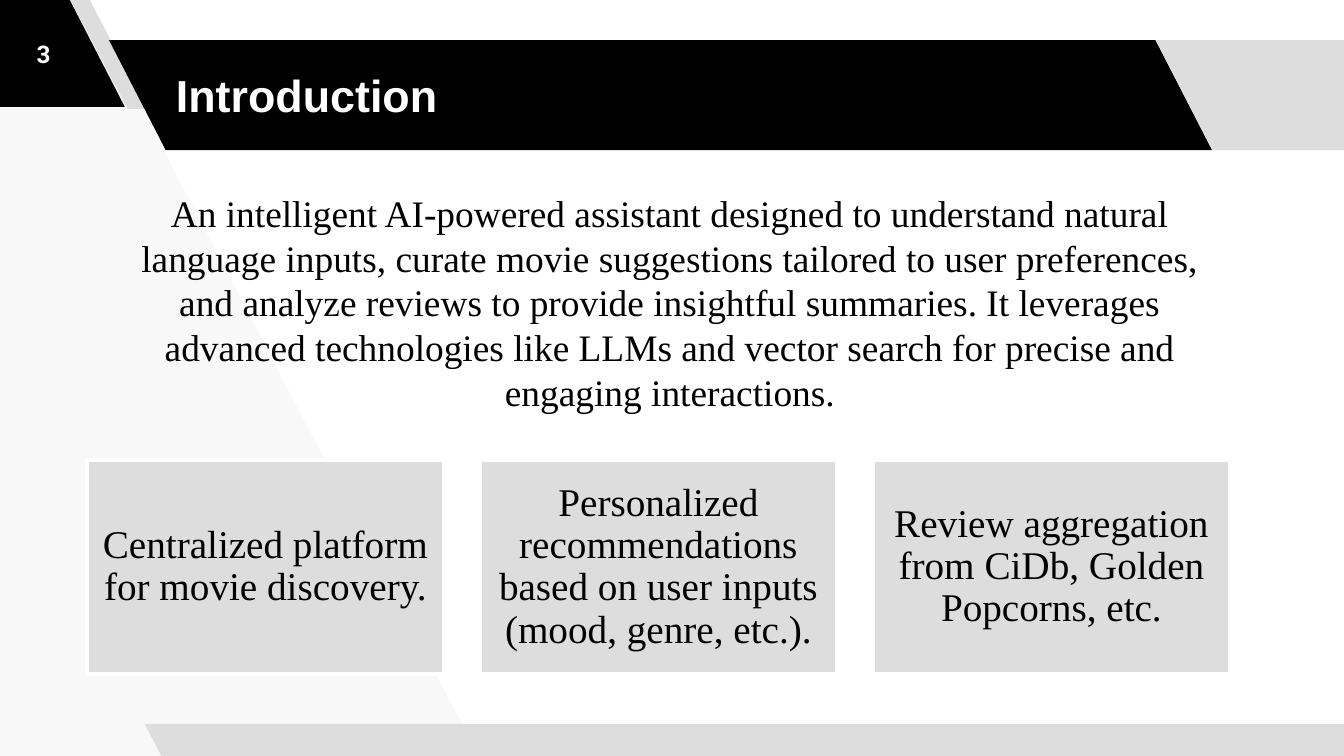
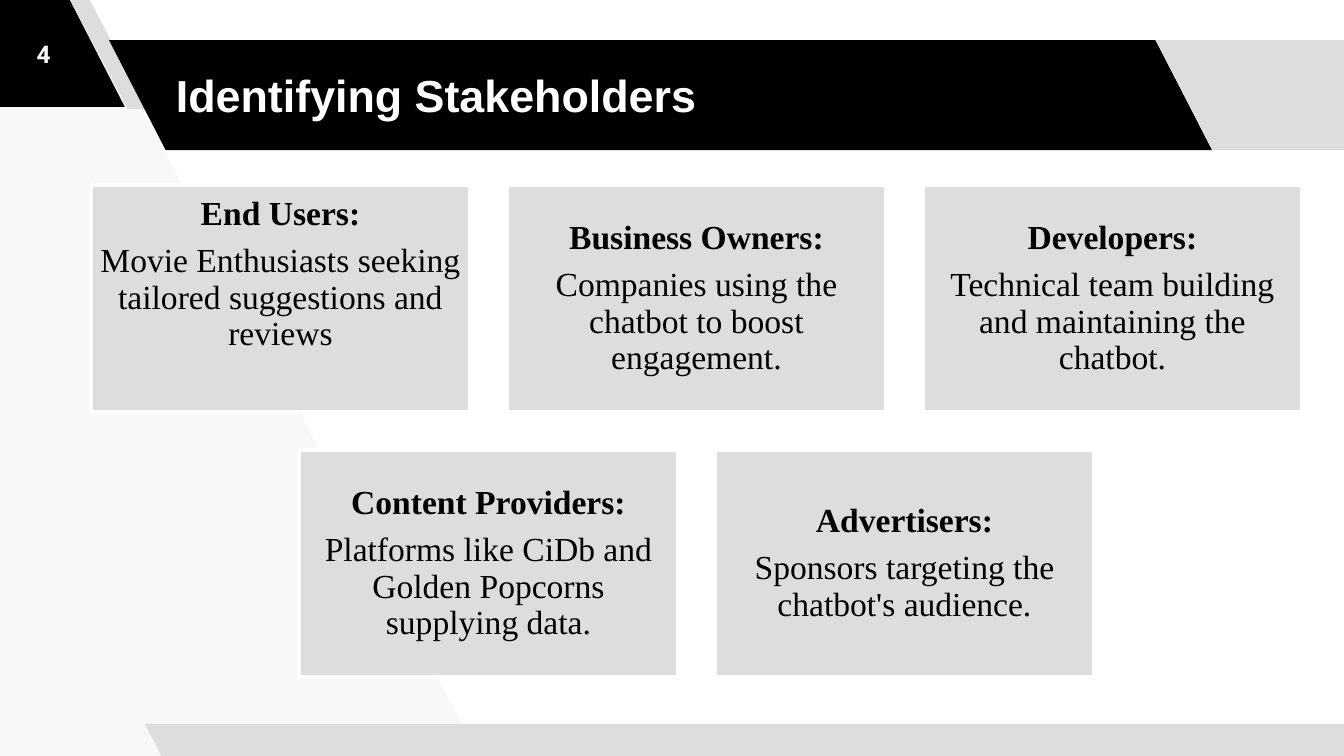
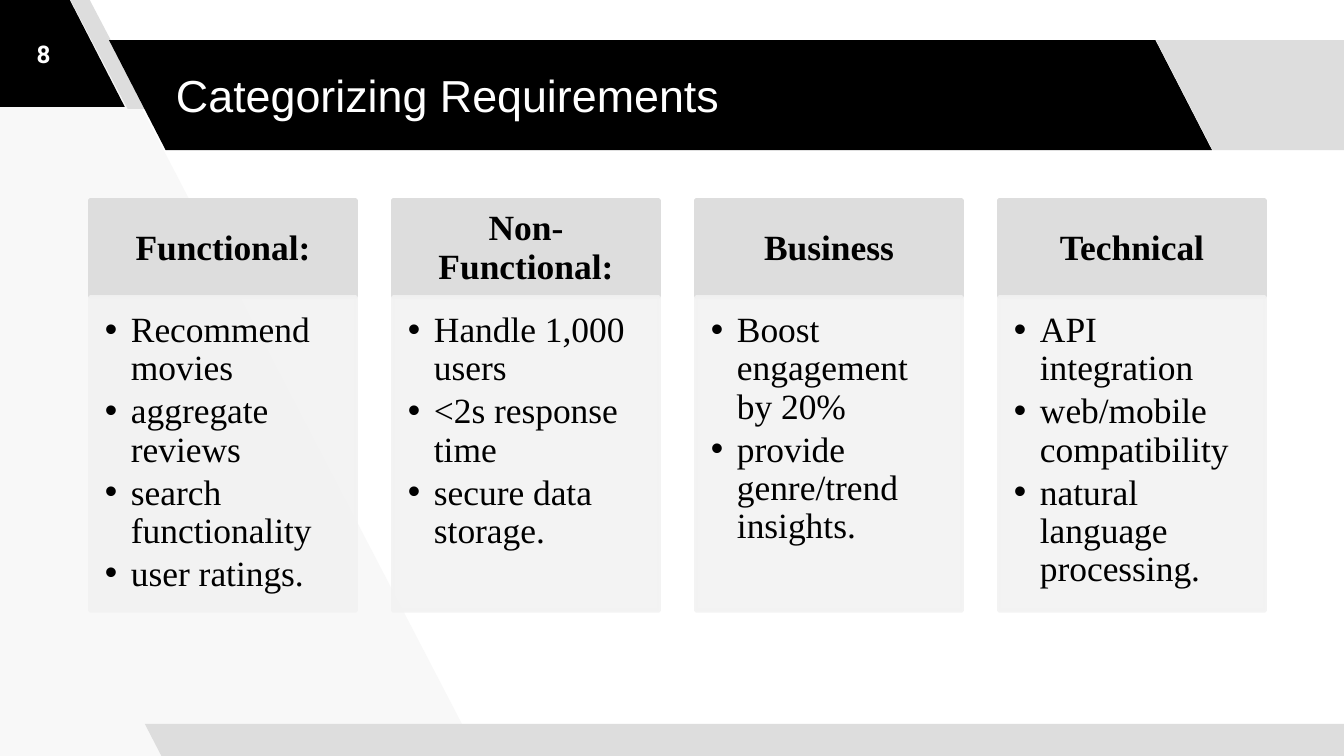
from dataclasses import dataclass, replace
from typing import Any

import lxml.etree
import pptx
import pptx.dml.color
import pptx.enum.shapes
import pptx.enum.text
import pptx.oxml.ns
import pptx.presentation
import pptx.shapes.autoshape
import pptx.slide
import pptx.text.text
import pptx.util

SLIDE_WIDTH, SLIDE_HEIGHT = 1344, 756
EMU_PER_PX = pptx.util.Inches(10) / SLIDE_WIDTH

BLACK = pptx.dml.color.RGBColor(0x00, 0x00, 0x00)
WHITE = pptx.dml.color.RGBColor(0xFF, 0xFF, 0xFF)
SILVER = pptx.dml.color.RGBColor(0xDD, 0xDD, 0xDD)
MIST = pptx.dml.color.RGBColor(0xF2, 0xF2, 0xF2)
WEDGE = pptx.dml.color.RGBColor(0xF8, 0xF8, 0xF8)

PARALLELOGRAM = pptx.enum.shapes.MSO_SHAPE.PARALLELOGRAM
RECTANGLE = pptx.enum.shapes.MSO_SHAPE.RECTANGLE
CENTER = pptx.enum.text.PP_ALIGN.CENTER
LEFT = pptx.enum.text.PP_ALIGN.LEFT
MIDDLE = pptx.enum.text.MSO_ANCHOR.MIDDLE
TOP = pptx.enum.text.MSO_ANCHOR.TOP


@dataclass(frozen=True)
class Box:
    left: int
    top: int
    width: int
    height: int


@dataclass(frozen=True)
class Band:
    box: Box
    slant: float
    color: pptx.dml.color.RGBColor


@dataclass(frozen=True)
class TextStyle:
    font: str
    size: int
    color: pptx.dml.color.RGBColor = BLACK
    bold: bool = False
    align: Any = CENTER
    anchor: Any = MIDDLE
    insets: tuple[int, int, int, int] = (13, 13, 13, 13)
    line_spacing: float = 1.0
    space_after: float = 0
    bullet_indent: int = 0


@dataclass(frozen=True)
class Stakeholder:
    role: str
    interest: str
    extra_bottom: int = 0


@dataclass(frozen=True)
class Category:
    heading: str
    requirements: tuple[str, ...]


WEDGE_CORNERS = [(478, 755), (83, -5), (-8, -5), (-3, 761)]
BANDS = [
    Band(Box(-133, -3, 258, 110), 0.515, BLACK),
    Band(Box(70, -1, 77, 110), 0.75, SILVER),
    Band(Box(109, 40, 1103, 110), 0.515, BLACK),
    Band(Box(1156, 40, 258, 110), 0.515, SILVER),
    Band(Box(145, 724, 1230, 34), 0.515, SILVER),
]
TITLE_BOX = Box(163, 40, 988, 110)
NUMBER_BOX = Box(0, 0, 87, 108)
SUMMARY_BOX = Box(110, 183, 1120, 239)

TITLE = TextStyle("Arial", 24, WHITE, bold=True, align=LEFT)
NUMBER = TextStyle("Roboto", 13, WHITE, bold=True)
SUMMARY = TextStyle("Times New Roman", 20, anchor=TOP, insets=(13, 7, 13, 7))
FEATURE = TextStyle("Times New Roman", 21, insets=(12, 12, 12, 12),
                    line_spacing=0.9, space_after=7)
INTEREST = TextStyle("Times New Roman", 18, insets=(9, 9, 9, 9),
                     line_spacing=0.9, space_after=6)
ROLE = replace(INTEREST, bold=True)
HEADING = TextStyle("Times New Roman", 19, bold=True, insets=(20, 11, 20, 11),
                    line_spacing=0.9, space_after=6.5)
REQUIREMENT = TextStyle("Times New Roman", 19, align=LEFT, anchor=TOP,
                        insets=(15, 15, 20, 23), line_spacing=0.9,
                        space_after=2.5, bullet_indent=26)

SUMMARY_TEXT = (
    "An intelligent AI-powered assistant designed to understand natural language "
    "inputs, curate movie suggestions tailored to user preferences, and analyze "
    "reviews to provide insightful summaries. It leverages advanced technologies "
    "like LLMs and vector search for precise and engaging interactions."
)
FEATURES = [
    "Centralized platform for movie discovery.",
    "Personalized recommendations based on user inputs (mood, genre, etc.).",
    "Review aggregation from CiDb, Golden Popcorns, etc.",
]
STAKEHOLDER_ROWS = [
    [
        Stakeholder("End Users:",
                    "Movie Enthusiasts seeking tailored suggestions and reviews",
                    extra_bottom=48),
        Stakeholder("Business Owners:",
                    "Companies using the chatbot to boost engagement."),
        Stakeholder("Developers:",
                    "Technical team building and maintaining the chatbot."),
    ],
    [
        Stakeholder("Content Providers:",
                    "Platforms like CiDb and Golden Popcorns supplying data."),
        Stakeholder("Advertisers:", "Sponsors targeting the chatbot's audience."),
    ],
]
CATEGORIES = [
    Category("Functional:", ("Recommend movies", "aggregate reviews",
                             "search functionality", "user ratings.")),
    Category("Non-Functional:", ("Handle 1,000 users", "<2s response time",
                                 "secure data storage.")),
    Category("Business", ("Boost engagement by 20%",
                          "provide genre/trend insights.")),
    Category("Technical", ("API integration", "web/mobile compatibility",
                           "natural language processing.")),
]


def px(length: int) -> pptx.util.Emu:
    return pptx.util.Emu(round(length * EMU_PER_PX))


def place(box: Box) -> tuple[pptx.util.Emu, ...]:
    """Left, top, width and height in EMU."""
    return px(box.left), px(box.top), px(box.width), px(box.height)


def set_attributes(target: Any, values: dict[str, Any]) -> None:
    for attribute, value in values.items():
        setattr(target, attribute, value)


def add_bullet(paragraph: pptx.text.text._Paragraph, indent: int,
               color: pptx.dml.color.RGBColor) -> None:
    qn = pptx.oxml.ns.qn
    properties = paragraph._p.get_or_add_pPr()
    properties.set("marL", str(px(indent)))
    properties.set("indent", str(-px(indent)))
    bullet_color = lxml.etree.SubElement(properties, qn("a:buClr"))
    lxml.etree.SubElement(bullet_color, qn("a:srgbClr"), val=str(color))
    lxml.etree.SubElement(properties, qn("a:buFont"), typeface="Arial")
    lxml.etree.SubElement(properties, qn("a:buChar"), char="•")


def write(frame: pptx.text.text.TextFrame,
          lines: list[tuple[str, TextStyle]], extra_bottom: int = 0) -> None:
    """Fill a frame with one paragraph per line; the first style rules the frame."""
    frame_style = lines[0][1]
    left, top, right, bottom = frame_style.insets
    set_attributes(frame, {
        "word_wrap": True,
        "vertical_anchor": frame_style.anchor,
        "margin_left": px(left),
        "margin_top": px(top),
        "margin_right": px(right),
        "margin_bottom": px(bottom + extra_bottom),
    })
    for index, (text, style) in enumerate(lines):
        paragraph = frame.add_paragraph() if index else frame.paragraphs[0]
        if style.bullet_indent:
            add_bullet(paragraph, style.bullet_indent, style.color)
        set_attributes(paragraph, {
            "alignment": style.align,
            "line_spacing": style.line_spacing,
            "space_after": pptx.util.Pt(style.space_after),
        })
        run = paragraph.add_run()
        run.text = text
        set_attributes(run.font, {
            "name": style.font,
            "size": pptx.util.Pt(style.size),
            "bold": style.bold,
        })
        run.font.color.rgb = style.color


def add_text(slide: pptx.slide.Slide, box: Box, text: str, style: TextStyle) -> None:
    write(slide.shapes.add_textbox(*place(box)).text_frame, [(text, style)])


def paint(shape: pptx.shapes.autoshape.Shape, fill: pptx.dml.color.RGBColor,
          outline: pptx.dml.color.RGBColor | None = None) -> None:
    shape.shadow.inherit = False
    shape.fill.solid()
    shape.fill.fore_color.rgb = fill
    if outline is None:
        shape.line.fill.background()
    else:
        shape.line.color.rgb = outline
        shape.line.width = pptx.util.Pt(2)


def set_opacity(shape: pptx.shapes.autoshape.Shape, percent: int) -> None:
    """Make both fill and outline partly transparent."""
    for color in shape._element.spPr.iter(pptx.oxml.ns.qn("a:srgbClr")):
        lxml.etree.SubElement(color, pptx.oxml.ns.qn("a:alpha"),
                              val=str(percent * 1000))


def add_card(slide: pptx.slide.Slide, box: Box, lines: list[tuple[str, TextStyle]],
             fill: pptx.dml.color.RGBColor, outline: pptx.dml.color.RGBColor,
             extra_bottom: int = 0) -> pptx.shapes.autoshape.Shape:
    card = slide.shapes.add_shape(RECTANGLE, *place(box))
    paint(card, fill, outline)
    write(card.text_frame, lines, extra_bottom)
    return card


def add_base_slide(deck: pptx.presentation.Presentation, number: int, title: str,
                   title_style: TextStyle = TITLE) -> pptx.slide.Slide:
    """Add a slide with the wedge, bands, title and page number."""
    slide = deck.slides.add_slide(deck.slide_layouts[6])
    start, *corners = WEDGE_CORNERS
    outline = slide.shapes.build_freeform(*start, scale=EMU_PER_PX)
    outline.add_line_segments(corners, close=True)
    paint(outline.convert_to_shape(), WEDGE)
    for band in BANDS:
        stripe = slide.shapes.add_shape(PARALLELOGRAM, *place(band.box))
        stripe.adjustments[0] = band.slant
        stripe._element.spPr.get_or_add_xfrm().set("flipH", "1")
        paint(stripe, band.color)
    add_text(slide, TITLE_BOX, title, title_style)
    add_text(slide, NUMBER_BOX, str(number), NUMBER)
    return slide


def add_introduction(deck: pptx.presentation.Presentation) -> None:
    slide = add_base_slide(deck, 3, "Introduction")
    for column, feature in enumerate(FEATURES):
        box = Box(87 + 393 * column, 460, 357, 214)
        add_card(slide, box, [(feature, FEATURE)], SILVER, WHITE)
    add_text(slide, SUMMARY_BOX, SUMMARY_TEXT, SUMMARY)


def add_stakeholders(deck: pptx.presentation.Presentation) -> None:
    slide = add_base_slide(deck, 4, "Identifying Stakeholders")
    pitch = 416
    widest = max(len(row) for row in STAKEHOLDER_ROWS)
    for row_index, row in enumerate(STAKEHOLDER_ROWS):
        row_left = 91 + (widest - len(row)) * pitch // 2
        for column, person in enumerate(row):
            box = Box(row_left + pitch * column, 185 + 265 * row_index, 379, 227)
            lines = [(person.role, ROLE), (person.interest, INTEREST)]
            add_card(slide, box, lines, SILVER, WHITE, person.extra_bottom)


def add_requirements(deck: pptx.presentation.Presentation) -> None:
    slide = add_base_slide(deck, 8, "Categorizing Requirements",
                           replace(TITLE, bold=False))
    for column, category in enumerate(CATEGORIES):
        left = 90 + 303 * column
        add_card(slide, Box(left, 200, 266, 97), [(category.heading, HEADING)],
                 SILVER, SILVER)
        requirements = [(text, REQUIREMENT) for text in category.requirements]
        body = add_card(slide, Box(left, 297, 266, 314), requirements, MIST, MIST)
        set_opacity(body, 90)


def main() -> None:
    deck = pptx.Presentation()
    deck.slide_width, deck.slide_height = px(SLIDE_WIDTH), px(SLIDE_HEIGHT)
    add_introduction(deck)
    add_stakeholders(deck)
    add_requirements(deck)
    deck.save("out.pptx")


if __name__ == "__main__":
    main()
